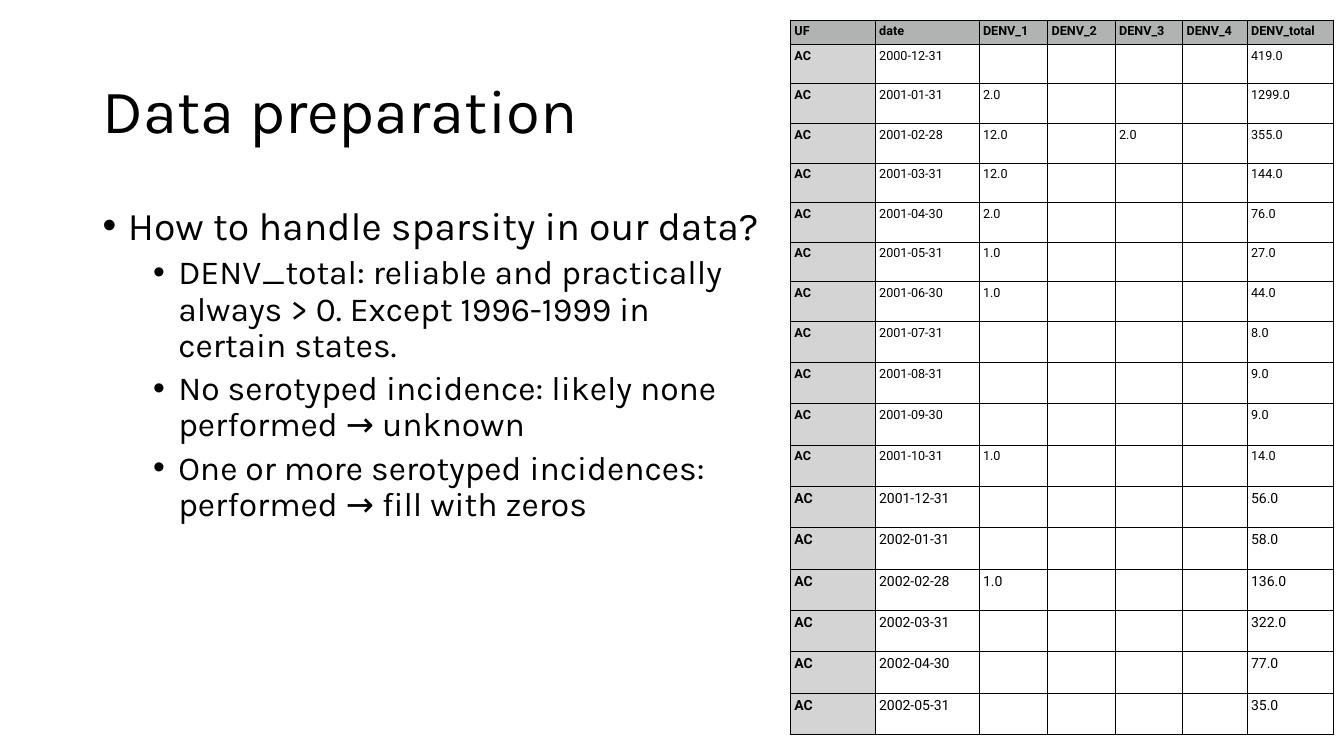
from lxml import etree
from pptx import Presentation
from pptx import util as u
from pptx.dml.color import RGBColor
from pptx.enum import text
from pptx.oxml import ns

COLORS = {"ink": "000000", "head": "B0B3B2", "side": "D4D4D4"}

POINTS = [
    ("How to handle sparsity in our data?", 0),
    ("DENV_total: reliable and practically always > 0. Except 1996-1999 in certain states.", 1),
    ("No serotyped incidence: likely none performed → unknown", 1),
    ("One or more serotyped incidences: performed → fill with zeros", 1),
]

HEAD = ["UF", "date", "DENV_1", "DENV_2", "DENV_3", "DENV_4", "DENV_total"]
CASES = [
    ("2000-12-31", "", "", "419.0"),
    ("2001-01-31", "2.0", "", "1299.0"),
    ("2001-02-28", "12.0", "2.0", "355.0"),
    ("2001-03-31", "12.0", "", "144.0"),
    ("2001-04-30", "2.0", "", "76.0"),
    ("2001-05-31", "1.0", "", "27.0"),
    ("2001-06-30", "1.0", "", "44.0"),
    ("2001-07-31", "", "", "8.0"),
    ("2001-08-31", "", "", "9.0"),
    ("2001-09-30", "", "", "9.0"),
    ("2001-10-31", "1.0", "", "14.0"),
    ("2001-12-31", "", "", "56.0"),
    ("2002-01-31", "", "", "58.0"),
    ("2002-02-28", "1.0", "", "136.0"),
    ("2002-03-31", "", "", "322.0"),
    ("2002-04-30", "", "", "77.0"),
    ("2002-05-31", "", "", "35.0"),
]
WIDTHS = [0.84, 1.03, 0.68, 0.67, 0.67, 0.64, 0.86]
HEIGHTS = [0.24] + [2.75 / 7] * 7 + [0.41] * 10


def write(para, words, font="Karla", size=24, bold=False, color="ink"):
    if words:
        run = para.add_run()
        run.text = words
        face = run.font
    else:
        face = para.font
    face.name = font
    face.size = u.Pt(size)
    face.bold = bold
    face.color.rgb = RGBColor.from_string(COLORS[color])


class Deck:
    def __init__(self):
        self.show = Presentation()
        self.show.slide_width = u.Inches(13.33)
        self.show.slide_height = u.Inches(7.5)
        self.slide = self.show.slides.add_slide(self.show.slide_layouts[5])

    def title(self, words, *box):
        shape = self.slide.shapes.title
        shape.left, shape.top, shape.width, shape.height = map(u.Inches, box)
        frame = shape.text_frame
        frame.auto_size = text.MSO_AUTO_SIZE.NONE
        frame.vertical_anchor = text.MSO_ANCHOR.MIDDLE
        para = frame.paragraphs[0]
        para.alignment = text.PP_ALIGN.LEFT
        para.line_spacing = 0.9
        write(para, words, size=44)

    def bullets(self, points, *box):
        frame = self.slide.shapes.add_textbox(*map(u.Inches, box)).text_frame
        frame.word_wrap = True
        for i, (words, level) in enumerate(points):
            para = frame.add_paragraph() if i else frame.paragraphs[0]
            para.level = level
            para.line_spacing = 0.9
            if i:
                para.space_before = u.Pt(5)
            props = para._p.get_or_add_pPr()
            props.set("marL", str(u.Inches(0.25 + 0.5 * level)))
            props.set("indent", str(u.Inches(-0.25)))
            font = etree.SubElement(props, ns.qn("a:buFont"))
            font.set("typeface", "Arial")
            etree.SubElement(props, ns.qn("a:buChar")).set("char", "•")
            write(para, words, size=24 if level else 28)

    def border(self, cell):
        props = cell._tc.get_or_add_tcPr()
        for side in "LRTB":
            line = etree.SubElement(props, ns.qn(f"a:ln{side}"))
            line.set("w", str(u.Pt(0.75)))
            fill = etree.SubElement(line, ns.qn("a:solidFill"))
            etree.SubElement(fill, ns.qn("a:srgbClr")).set("val", COLORS["ink"])

    def cell(self, cell, words, size, bold, fill):
        cell.margin_left = cell.margin_right = u.Inches(0.04)
        cell.margin_top = cell.margin_bottom = u.Inches(0.04)
        self.border(cell)
        if fill:
            cell.fill.solid()
            cell.fill.fore_color.rgb = RGBColor.from_string(COLORS[fill])
        else:
            cell.fill.background()
        write(cell.text_frame.paragraphs[0], words, "Roboto", size, bold)

    def table(self, rows, left, top, widths, heights):
        box = map(u.Inches, (left, top, sum(widths), sum(heights)))
        grid = self.slide.shapes.add_table(len(rows), len(widths), *box).table
        grid.first_row = grid.horz_banding = False
        for col, width in zip(grid.columns, widths):
            col.width = u.Inches(width)
        for r, (row, height) in enumerate(zip(rows, heights)):
            grid.rows[r].height = u.Inches(height)
            for c, words in enumerate(row):
                fill = "head" if r == 0 else "side" if c == 0 else None
                size = 10 if r > 11 else 9
                self.cell(grid.cell(r, c), words, size, bool(fill), fill)


def main():
    deck = Deck()
    deck.title("Data preparation", 0.92, 0.4, 11.5, 1.45)
    deck.bullets(POINTS, 0.92, 2, 6.72, 4.76)
    rows = [["AC", date, one, "", three, "", total] for date, one, three, total in CASES]
    deck.table([HEAD] + rows, 7.84, 0.2, WIDTHS, HEIGHTS)
    deck.show.save("out.pptx")


if __name__ == "__main__":
    main()
